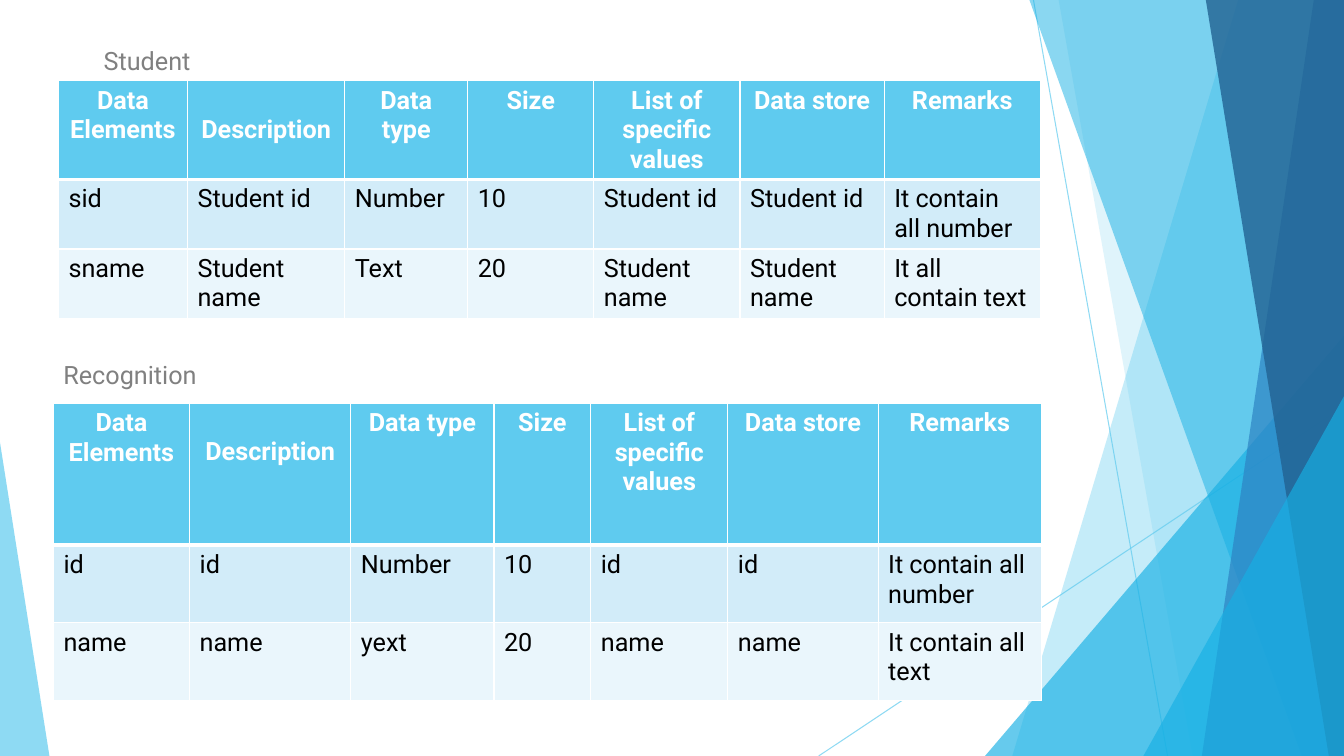
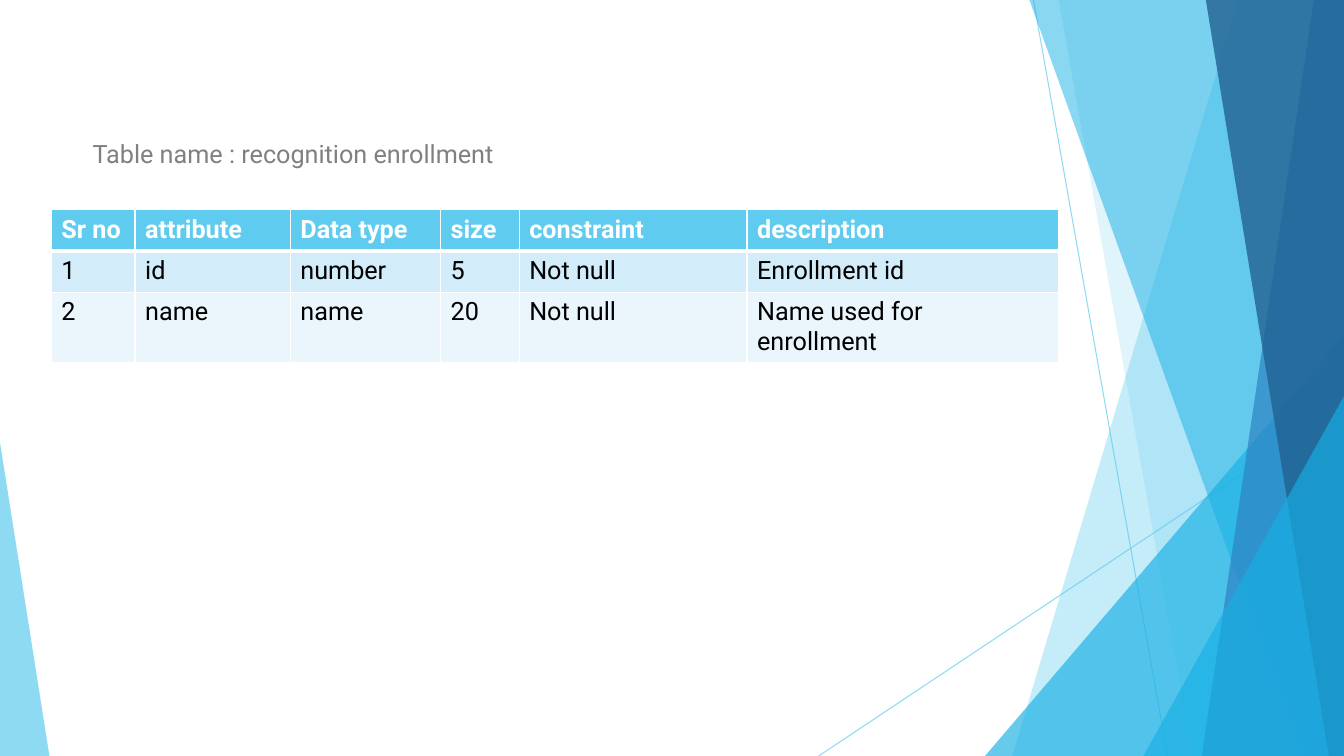
import pptx
import pptx.dml.color
import pptx.enum.shapes
import pptx.enum.text
import pptx.oxml
import pptx.oxml.ns
import pptx.util

PX = 9144  # EMU per px, 100 px to the inch
WIDTH, HEIGHT = 1333, 750


class Theme:
    FONT = "Roboto"
    BODY_SIZE = 18
    SKY = "5FCBEF"
    CYAN = "17B0E4"
    BLUE = "2E83C3"
    NAVY = "226292"
    BANDS = ("D2ECF9", "EAF6FC")
    BORDER = "FFFFFF"
    HEADER_TEXT = "FFFFFF"
    BODY_TEXT = "000000"
    CAPTION_TEXT = "808080"
    LINE_WIDTH = 0.75
    BORDER_WIDTH = 1
    HEADER_RULE_WIDTH = 3


def px(length):
    return pptx.util.Emu(length * PX)


def rgb(color):
    return pptx.dml.color.RGBColor.from_string(color)


def set_opacity(shape, percent):
    for color in shape._element.xpath("./p:spPr//a:srgbClr"):
        alpha = pptx.oxml.parse_xml(
            f'<a:alpha {pptx.oxml.ns.nsdecls("a")} val="{percent * 1000}"/>')
        color.append(alpha)


def set_borders(cell, top, bottom):
    """Draw all four cell edges; top and bottom are widths in points."""
    properties = cell._tc.get_or_add_tcPr()
    widths = {"L": Theme.BORDER_WIDTH, "R": Theme.BORDER_WIDTH,
              "T": top, "B": bottom}
    for position, (side, width) in enumerate(widths.items()):
        edge = pptx.oxml.parse_xml(
            f'<a:ln{side} {pptx.oxml.ns.nsdecls("a")} w="{pptx.util.Pt(width)}">'
            f'<a:solidFill><a:srgbClr val="{Theme.BORDER}"/></a:solidFill>'
            f'</a:ln{side}>')
        properties.insert(position, edge)


class Deck:
    def __init__(self):
        self.presentation = pptx.Presentation()
        self.presentation.slide_width = px(WIDTH)
        self.presentation.slide_height = px(HEIGHT)
        self.slide = None

    def new_slide(self):
        layout = self.presentation.slide_layouts[6]
        self.slide = self.presentation.slides.add_slide(layout)
        self.facets()

    def facets(self):
        """Draw the translucent shards shared by every slide."""
        self.line((1025, 0), (1158, HEIGHT))
        self.line((WIDTH, 403), (812, HEIGHT))
        self.shard(1228, 1004, Theme.SKY, 36)
        self.shard(1050, 1183, Theme.SKY, 20)
        self.triangle(977, 333, 356, 1, Theme.CYAN, 66)
        self.shard(1021, 1291, Theme.CYAN, 50)
        self.shard(1303, 1192, Theme.BLUE, 70)
        self.shard(1196, 1318, Theme.NAVY, 80)
        self.triangle(1134, 393, 199, 1, Theme.CYAN, 66)
        self.triangle(0, 439, 49, 0, Theme.SKY, 70)

    def line(self, start, end):
        line = self.slide.shapes.add_connector(
            pptx.enum.shapes.MSO_CONNECTOR.STRAIGHT,
            *map(px, start), *map(px, end))
        line.line.color.rgb = rgb(Theme.SKY)
        line.line.width = pptx.util.Pt(Theme.LINE_WIDTH)
        set_opacity(line, 70)
        line._element.spPr.append(pptx.oxml.parse_xml(
            f'<a:effectLst {pptx.oxml.ns.nsdecls("a")}/>'))

    def paint(self, shape, color, opacity):
        shape.shadow.inherit = False
        shape.fill.solid()
        shape.fill.fore_color.rgb = rgb(color)
        shape.line.fill.background()
        set_opacity(shape, opacity)

    def shard(self, top_left, bottom_left, color, opacity):
        """Fill from a slanted left edge to the right side of the slide."""
        outline = self.slide.shapes.build_freeform(top_left, 0, scale=PX)
        outline.add_line_segments(
            [(WIDTH, 0), (WIDTH, HEIGHT), (bottom_left, HEIGHT)], close=True)
        self.paint(outline.convert_to_shape(), color, opacity)

    def triangle(self, left, top, width, apex, color, opacity):
        """Stand a triangle on the bottom edge; apex runs from 0 to 1."""
        triangle = self.slide.shapes.add_shape(
            pptx.enum.shapes.MSO_SHAPE.ISOSCELES_TRIANGLE,
            px(left), px(top), px(width), px(HEIGHT - top))
        triangle.adjustments[0] = apex
        self.paint(triangle, color, opacity)

    def add_text(self, paragraph, text, color, bold=False):
        run = paragraph.add_run()
        run.text = text
        run.font.name = Theme.FONT
        run.font.size = pptx.util.Pt(Theme.BODY_SIZE)
        run.font.color.rgb = rgb(color)
        run.font.bold = bold

    def caption(self, left, top, width, text):
        box = self.slide.shapes.add_textbox(
            px(left), px(top), px(width), px(40))
        box.text_frame.word_wrap = True
        box.text_frame.auto_size = pptx.enum.text.MSO_AUTO_SIZE.SHAPE_TO_FIT_TEXT
        self.add_text(box.text_frame.paragraphs[0], text, Theme.CAPTION_TEXT)

    def table(self, left, top, widths, heights, records, centred=False):
        """Add a table with a header row and banded body; return it."""
        table = self.slide.shapes.add_table(
            len(heights), len(widths), px(left), px(top),
            px(sum(widths)), px(sum(heights))).table
        table.horz_banding = False
        for column, width in zip(table.columns, widths):
            column.width = px(width)
        for index, (row, height, record) in enumerate(
                zip(table.rows, heights, records)):
            row.height = px(height)
            for cell, text in zip(row.cells, record):
                self.cell(cell, text, index, centred)
        return table

    def cell(self, cell, text, row, centred):
        header = row == 0
        cell.fill.solid()
        cell.fill.fore_color.rgb = rgb(
            Theme.SKY if header else Theme.BANDS[(row - 1) % 2])
        set_borders(
            cell,
            top=Theme.HEADER_RULE_WIDTH if row == 1 else Theme.BORDER_WIDTH,
            bottom=Theme.HEADER_RULE_WIDTH if header else Theme.BORDER_WIDTH)
        paragraph = cell.text_frame.paragraphs[0]
        if header and centred:
            paragraph.alignment = pptx.enum.text.PP_ALIGN.CENTER
        self.add_text(paragraph, text,
                      Theme.HEADER_TEXT if header else Theme.BODY_TEXT, header)

    def data_dictionary(self, left, top, widths, heights, records):
        """Add a table of data elements, its Description header one line low."""
        header = ("Data Elements", "Description", "Data type", "Size",
                  "List of specific values", "Data store", "Remarks")
        table = self.table(left, top, widths, heights, (header, *records),
                           centred=True)
        table.cell(0, 1).margin_top = px(34)


def main():
    deck = Deck()

    deck.new_slide()
    deck.data_dictionary(
        58, 80, (128, 156, 122, 125, 145, 143, 155), (97, 69, 69),
        (("sid", "Student id", "Number", "10", "Student id", "Student id",
          "It contain all number"),
         ("sname", "Student name", "Text", "20", "Student name",
          "Student name", "It all contain text")))
    deck.caption(93, 40, 882, "Student")
    deck.data_dictionary(
        53, 400, (135, 160, 142, 96, 136, 149, 162), (141, 77, 77),
        (("id", "id", "Number", "10", "id", "id", "It contain all number"),
         ("name", "name", "yext", "20", "name", "name",
          "It contain all text")))
    deck.caption(53, 352, 975, "Recognition")

    deck.new_slide()
    deck.caption(82, 132, 903, "Table name : recognition enrollment")
    deck.table(
        51, 208, (83, 154, 149, 78, 226, 309), (41, 41, 69),
        (("Sr no", "attribute", "Data type", "size", "constraint",
          "description"),
         ("1", "id", "number", "5", "Not null", "Enrollment id"),
         ("2", "name", "name", "20", "Not null", "Name used for enrollment")))

    deck.presentation.save("out.pptx")


if __name__ == "__main__":
    main()
